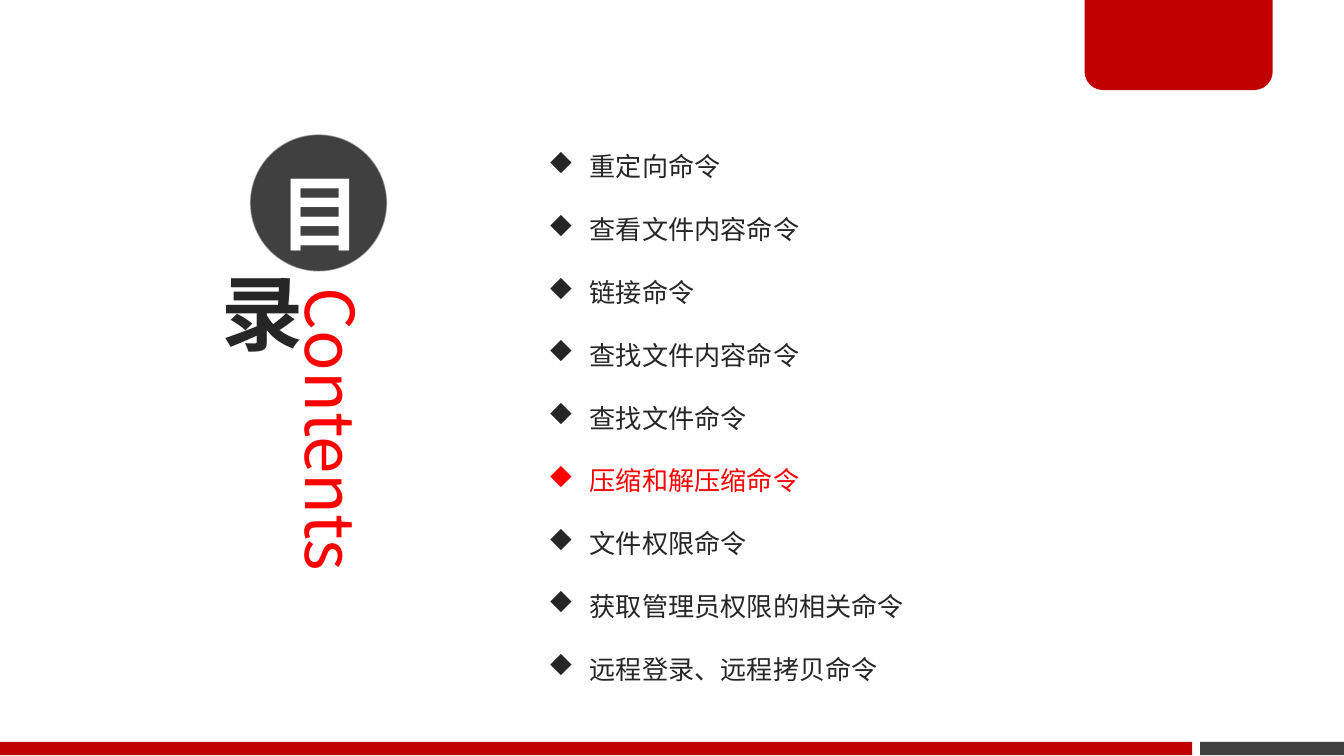
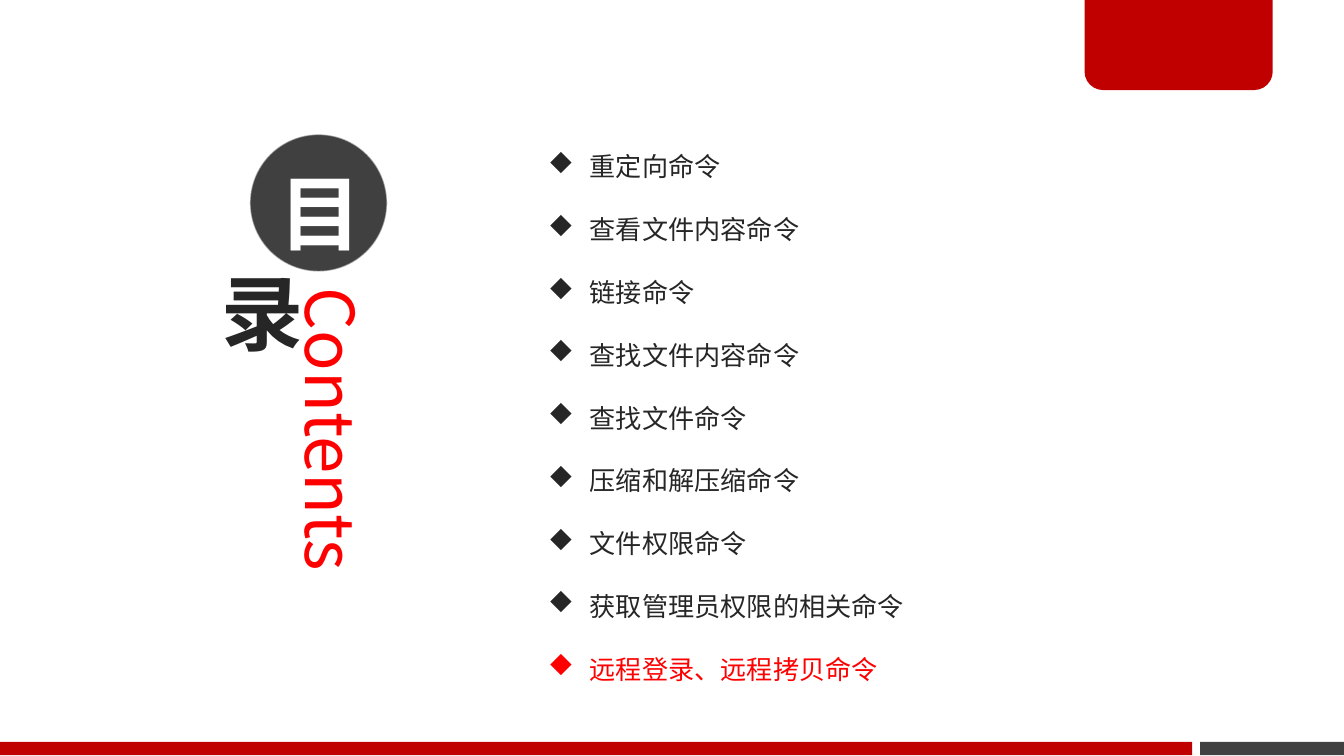
from dataclasses import dataclass

from lxml.etree import SubElement
from pptx import Presentation
from pptx.dml.color import RGBColor as RGB
from pptx.enum.shapes import MSO_SHAPE as Shape
from pptx.enum.text import MSO_ANCHOR as Anchor, MSO_AUTO_SIZE as AutoSize, PP_ALIGN as Align
from pptx.oxml.ns import qn
from pptx.util import Inches, Pt


@dataclass(frozen=True)
class Theme:
    font: str = "Noto Sans CJK SC"
    bullet_font: str = "Wingdings"
    band: RGB = RGB(0xC0, 0x00, 0x00)
    accent: RGB = RGB(0xFF, 0x00, 0x00)
    gray: RGB = RGB(0x40, 0x40, 0x40)
    ink: RGB = RGB(0x26, 0x26, 0x26)
    white: RGB = RGB(0xFF, 0xFF, 0xFF)
    title_size: Pt = Pt(44)
    subtitle_size: Pt = Pt(36)
    item_size: Pt = Pt(14)


theme = Theme()
TOPICS = [
    "重定向命令",
    "查看文件内容命令",
    "链接命令",
    "查找文件内容命令",
    "查找文件命令",
    "压缩和解压缩命令",
    "文件权限命令",
    "获取管理员权限的相关命令",
    "远程登录、远程拷贝命令",
]
CURRENT_TOPICS = ["压缩和解压缩命令", "远程登录、远程拷贝命令"]
DIAMOND = "u"  # Wingdings draws this letter as a diamond
TIGHT = (0.07, 0.04, 0.07, 0.04)


def add_shape(page, kind, place, fill=None):
    """Add a borderless shape; without a fill it stays transparent."""
    shape = page.shapes.add_shape(kind, *map(Inches, place))
    shape.shadow.inherit = False
    shape.line.fill.background()
    if fill is None:
        shape.fill.background()
    else:
        shape.fill.solid()
        shape.fill.fore_color.rgb = fill
    return shape


def write(box, lines, *, size, color, bold=False, align=Align.LEFT, anchor=Anchor.TOP,
          insets=(0.1, 0.05, 0.1, 0.05), spacing=None, bullet=None, current=None, outline=None):
    """Fill a box with one paragraph per line; the current line takes the accent colour."""
    frame = box.text_frame
    frame.word_wrap = True
    frame.vertical_anchor = anchor
    frame.margin_left, frame.margin_top, frame.margin_right, frame.margin_bottom = map(Inches, insets)
    for index, line in enumerate(lines):
        para = frame.add_paragraph() if index else frame.paragraphs[0]
        para.alignment = align
        para.line_spacing = spacing
        if bullet:
            properties = para._p.get_or_add_pPr()
            properties.set("marL", str(Inches(0.31)))
            properties.set("indent", str(-Inches(0.31)))
            SubElement(properties, qn("a:buFont"), typeface=theme.bullet_font, charset="2")
            SubElement(properties, qn("a:buChar"), char=bullet)
        span = para.add_run()
        span.text = line
        font = span.font
        font.name, font.size, font.bold = theme.font, size, bold
        font.color.rgb = theme.accent if line == current else color
        letters = font._element
        SubElement(letters, qn("a:ea"), typeface=theme.font)
        if outline is not None:
            stroke = SubElement(letters, qn("a:ln"), w=str(Pt(0.25)))
            SubElement(SubElement(stroke, qn("a:solidFill")), qn("a:srgbClr"), val=str(outline))
            letters.insert(0, stroke)


deck = Presentation()
deck.slide_width = Inches(10)
deck.slide_height = deck.slide_width * 9 // 16

for current_topic in CURRENT_TOPICS:
    page = deck.slides.add_slide(deck.slide_layouts[6])

    # Bands and corner tab
    add_shape(page, Shape.RECTANGLE, (8.93, 5.52, 1.07, 0.1), theme.gray)
    tab = add_shape(page, Shape.ROUND_2_SAME_RECTANGLE, (8.07, -0.02, 1.4, 0.69), theme.band)
    tab.adjustments[0], tab.adjustments[1] = 0, 0.2
    add_shape(page, Shape.RECTANGLE, (0, 5.52, 8.87, 0.1), theme.band)

    # Title
    subtitle = page.shapes.add_textbox(*map(Inches, (2.14, 2.1, 0.7, 2.89)))
    write(subtitle, ["Contents"], size=theme.subtitle_size, color=theme.accent, insets=TIGHT)
    subtitle.text_frame._txBody.bodyPr.set("vert", "eaVert")

    disc = add_shape(page, Shape.OVAL, (1.86, 1, 1.02, 1.02), theme.gray)
    disc.line.color.rgb = theme.white
    disc.line.width = 0
    SubElement(disc.line._ln.find(".//" + qn("a:srgbClr")), qn("a:alpha"), val="49000")
    write(disc, ["目"], size=theme.title_size, color=theme.white, bold=True, align=Align.CENTER,
          anchor=Anchor.MIDDLE, insets=(0.07, 0.04, 0.07, 0.15), spacing=Pt(70))

    second_character = add_shape(page, Shape.OVAL, (1.46, 1.92, 0.8, 0.8))
    write(second_character, ["录"], size=theme.title_size, color=theme.ink, bold=True,
          align=Align.CENTER, anchor=Anchor.MIDDLE, insets=TIGHT, outline=theme.white)

    # Topics
    topic_list = page.shapes.add_textbox(*map(Inches, (3.98, 0.84, 4.72, 4.34)))
    write(topic_list, TOPICS, size=theme.item_size, color=theme.ink, spacing=2.0,
          bullet=DIAMOND, current=current_topic)
    topic_list.text_frame.auto_size = AutoSize.SHAPE_TO_FIT_TEXT

deck.save("out.pptx")
